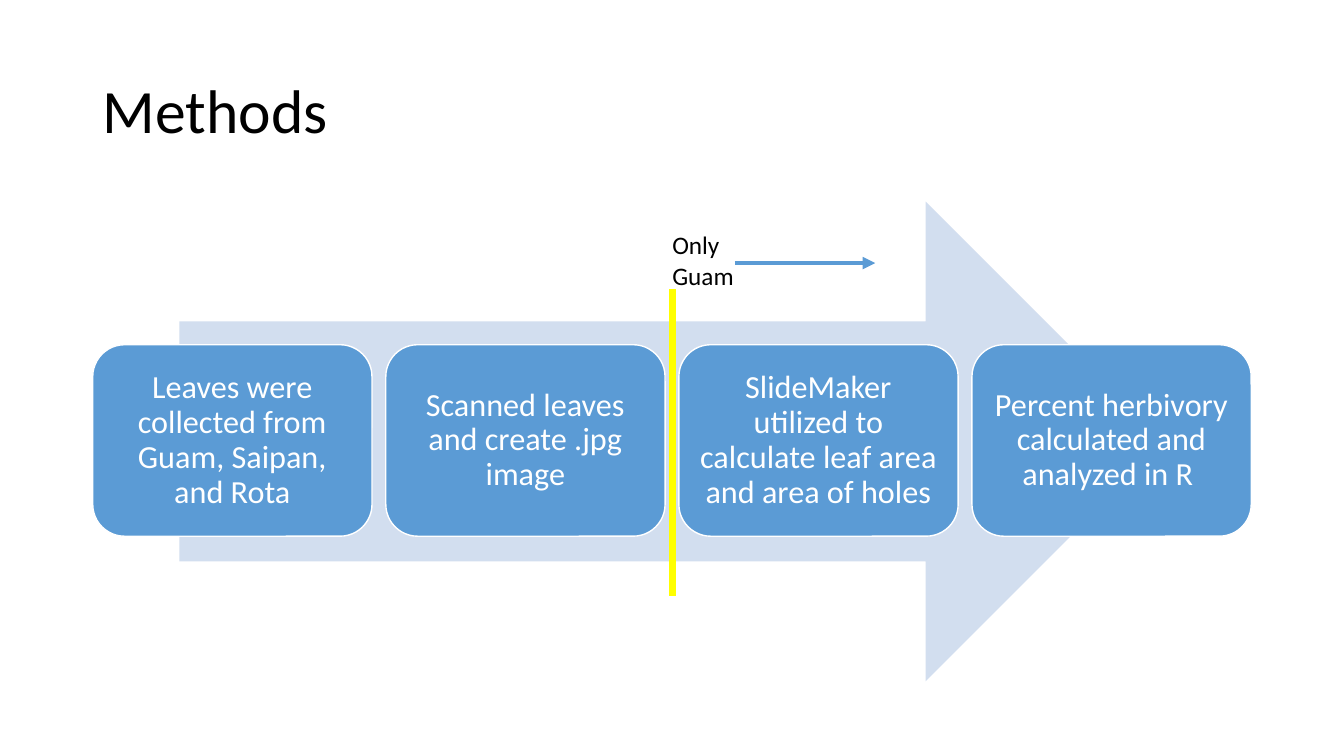
from dataclasses import dataclass

from lxml import etree
from pptx import Presentation
from pptx import util as u
from pptx.dml.color import RGBColor
from pptx.enum import shapes, text
from pptx.oxml.ns import qn


@dataclass(frozen=True)
class Theme:
    font: str = "Calibri"
    ink: str = "000000"
    white: str = "FFFFFF"
    blue: str = "5B9BD5"
    pale_blue: str = "D2DEEF"
    yellow: str = "FFFF00"
    title_size: float = 44
    step_size: float = 23
    label_size: float = 18


def write_text(shape, words, *, font, size, color, align=text.PP_ALIGN.LEFT,
               anchor=text.MSO_ANCHOR.TOP, spacing=1.0, inset=None):
    frame = shape.text_frame
    frame.word_wrap = True
    frame.vertical_anchor = anchor
    if inset is not None:
        frame.margin_left = frame.margin_right = u.Inches(inset)
        frame.margin_top = frame.margin_bottom = u.Inches(inset)
    para = frame.paragraphs[0]
    para.alignment = align
    para.line_spacing = spacing
    span = para.add_run()
    span.text = words
    span.font.name = font
    span.font.size = u.Pt(size)
    span.font.color.rgb = RGBColor.from_string(color)


class SlideBuilder:
    def __init__(self, slide, theme):
        self.slide = slide
        self.theme = theme

    def text_box(self, words, left, top, width, height, **style):
        box = self.slide.shapes.add_textbox(*map(u.Inches, (left, top, width, height)))
        write_text(box, words, font=self.theme.font, color=self.theme.ink, **style)
        return box

    def shape(self, kind, left, top, width, height, fill, outline=None):
        shape = self.slide.shapes.add_shape(kind, *map(u.Inches, (left, top, width, height)))
        shape.shadow.inherit = False
        shape.fill.solid()
        shape.fill.fore_color.rgb = RGBColor.from_string(fill)
        if outline:
            shape.line.color.rgb = RGBColor.from_string(outline)
            shape.line.width = u.Pt(1)
        else:
            shape.line.fill.background()
        return shape

    def step(self, words, left, top, width, height):
        card = self.shape(shapes.MSO_SHAPE.ROUNDED_RECTANGLE, left, top, width, height,
                          self.theme.blue, self.theme.white)
        write_text(card, words, font=self.theme.font, size=self.theme.step_size,
                   color=self.theme.white, align=text.PP_ALIGN.CENTER,
                   anchor=text.MSO_ANCHOR.MIDDLE, spacing=0.9, inset=0.1)

    def line(self, start, end, color, weight, arrow=False):
        line = self.slide.shapes.add_connector(
            shapes.MSO_CONNECTOR.STRAIGHT, *map(u.Inches, (*start, *end)))
        line.line.color.rgb = RGBColor.from_string(color)
        line.line.width = u.Pt(weight)
        if arrow:
            etree.SubElement(line.line._get_or_add_ln(), qn("a:tailEnd"), type="triangle")
        etree.SubElement(line._element.spPr, qn("a:effectLst"))


STEPS = [
    "Leaves were collected from Guam, Saipan, and Rota",
    "Scanned leaves and create .jpg image",
    "SlideMaker utilized to calculate leaf area and area of holes",
    "Percent herbivory calculated and analyzed in R ",
]
STEP_LEFT, STEP_TOP, STEP_WIDTH, STEP_HEIGHT = 0.92, 3.42, 2.77, 1.9
STEP_PITCH = (12.41 - STEP_LEFT - STEP_WIDTH) / (len(STEPS) - 1)
DIVIDER_X = 6.67

deck = Presentation()
deck.slide_width = u.Inches(13.33)
deck.slide_height = u.Inches(7.5)
theme = Theme()
page = SlideBuilder(deck.slides.add_slide(deck.slide_layouts[6]), theme)

page.text_box("Methods", 0.92, 0.4, 11.5, 1.45, size=theme.title_size,
              anchor=text.MSO_ANCHOR.MIDDLE, spacing=0.9)
page.shape(shapes.MSO_SHAPE.RIGHT_ARROW, 1.78, 2, 9.78, 4.76, theme.pale_blue)
for index, words in enumerate(STEPS):
    page.step(words, STEP_LEFT + index * STEP_PITCH, STEP_TOP, STEP_WIDTH, STEP_HEIGHT)

page.line((DIVIDER_X, 2.87), (DIVIDER_X, 5.91), theme.yellow, 4.5)
page.line((7.29, 2.61), (8.68, 2.61), theme.blue, 3, arrow=True)
label = page.text_box("Only Guam", 6.57, 2.23, 0.86, 0.71, size=theme.label_size)
label.text_frame.auto_size = text.MSO_AUTO_SIZE.SHAPE_TO_FIT_TEXT

deck.save("out.pptx")
